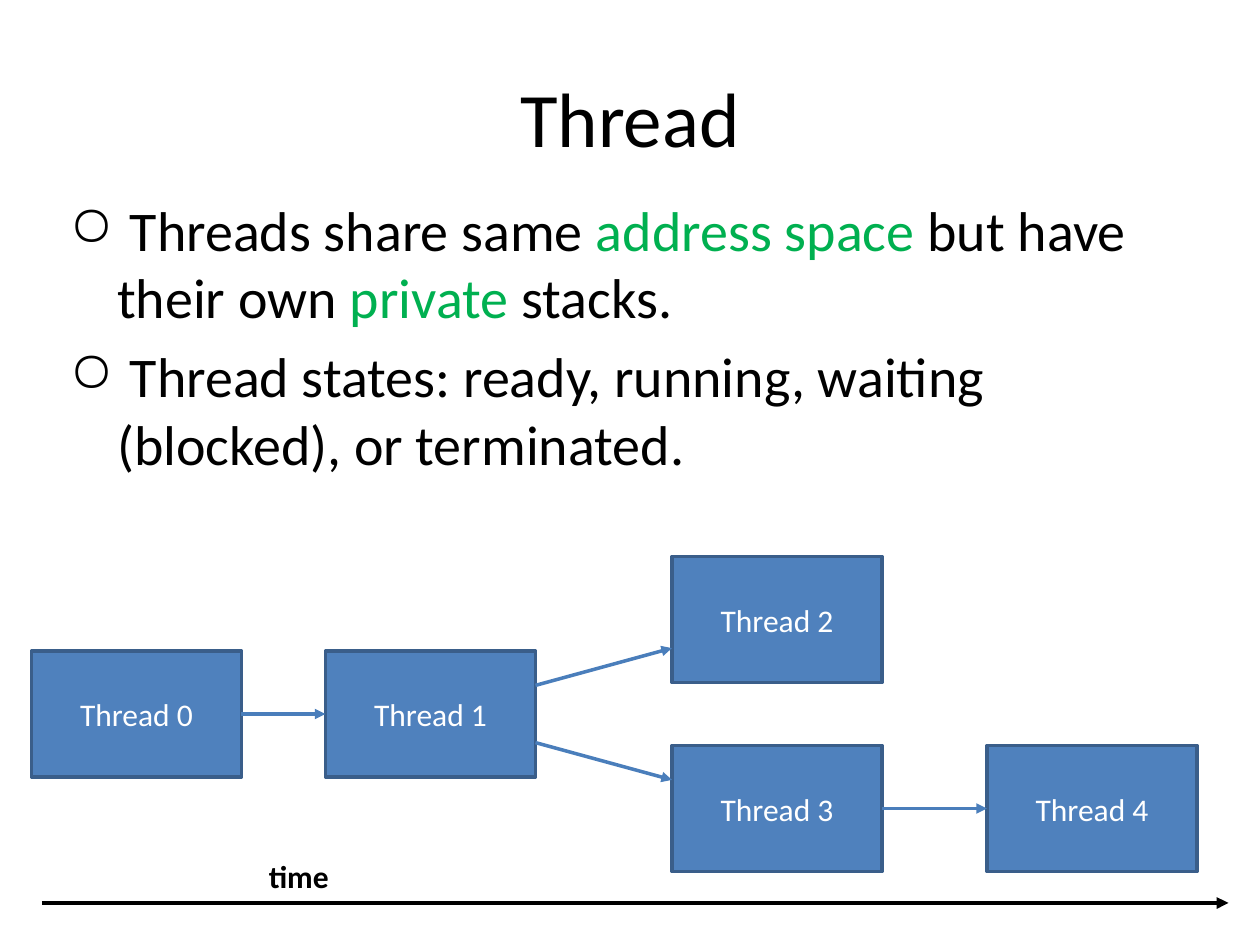
from lxml.etree import SubElement
from pptx import Presentation
from pptx.dml.color import RGBColor
from pptx.enum.shapes import MSO_CONNECTOR as CONN, MSO_SHAPE as SHAPE
from pptx.enum.text import MSO_ANCHOR as ANCHOR, PP_ALIGN as ALIGN
from pptx.oxml.ns import qn
from pptx.util import Inches, Pt

COLORS = {"ink": "000000", "accent": "00B050", "box": "4F81BD",
          "border": "3A5E8A", "link": "4A7EBB", "white": "FFFFFF"}
UNIT = Inches(1) / 12
BOX_W, BOX_H = 20, 12
NODES = {"Thread 0": (3, 62), "Thread 1": (31, 62), "Thread 2": (64, 53),
         "Thread 3": (64, 71), "Thread 4": (94, 71)}
LINKS = [("Thread 0", "Thread 1"), ("Thread 1", "Thread 2"),
         ("Thread 1", "Thread 3"), ("Thread 3", "Thread 4")]
BULLETS = [
    [(" Threads share same ", "ink"), ("address space ", "accent"),
     ("but have their own ", "ink"), ("private", "accent"), (" stacks.", "ink")],
    [(" Thread states: ready, running, waiting (blocked), or terminated.", "ink")],
]


def rgb(name):
    return RGBColor.from_string(COLORS[name])


def grid(*cells):
    return [round(c * UNIT) for c in cells]


class Deck:
    """Draws styled elements on a grid of 120 columns by 90 rows."""

    def __init__(self, font="Calibri"):
        self.font = font
        self.prs = Presentation()
        self.prs.slide_width, self.prs.slide_height = grid(120, 90)
        self.s = self.prs.slides.add_slide(self.prs.slide_layouts[6])

    def frame(self, sp, anchor):
        tf = sp.text_frame
        tf.word_wrap = True
        tf.vertical_anchor = anchor
        tf.margin_left = tf.margin_right = Inches(0.05)
        tf.margin_top = tf.margin_bottom = Inches(0.05)
        return tf

    def run(self, p, text, size, color, bold=False):
        r = p.add_run()
        r.text = text
        r.font.name, r.font.size, r.font.bold = self.font, Pt(size), bold
        r.font.color.rgb = rgb(color)

    def text(self, cells, text, size, align=ALIGN.LEFT, anchor=ANCHOR.TOP, bold=False):
        tf = self.frame(self.s.shapes.add_textbox(*grid(*cells)), anchor)
        p = tf.paragraphs[0]
        p.alignment = align
        self.run(p, text, size, "ink", bold)

    def bullets(self, cells, items, size):
        tf = self.frame(self.s.shapes.add_textbox(*grid(*cells)), ANCHOR.TOP)
        for i, runs in enumerate(items):
            p = tf.add_paragraph() if i else tf.paragraphs[0]
            pPr = p._p.get_or_add_pPr()
            pPr.set("marL", str(Inches(0.38)))
            pPr.set("indent", str(-Inches(0.38)))
            clr = SubElement(pPr, qn("a:buClr"))
            SubElement(clr, qn("a:srgbClr"), val=COLORS["ink"])
            SubElement(pPr, qn("a:buChar"), char="○")
            if i:
                p.space_before = Pt(7)
            for text, color in runs:
                self.run(p, text, size, color)

    def box(self, col, row, label):
        sp = self.s.shapes.add_shape(SHAPE.RECTANGLE, *grid(col, row, BOX_W, BOX_H))
        sp.shadow.inherit = False
        sp.fill.solid()
        sp.fill.fore_color.rgb = rgb("box")
        sp.line.color.rgb = rgb("border")
        sp.line.width = Pt(2)
        p = self.frame(sp, ANCHOR.MIDDLE).paragraphs[0]
        p.alignment = ALIGN.CENTER
        self.run(p, label, 18, "white")

    def arrow(self, x1, y1, x2, y2, color, width):
        cx = self.s.shapes.add_connector(CONN.STRAIGHT, *grid(x1, y1, x2, y2))
        cx.line.color.rgb = rgb(color)
        cx.line.width = Pt(width)
        SubElement(cx.line._get_or_add_ln(), qn("a:tailEnd"), type="triangle")
        SubElement(cx._element.spPr, qn("a:effectLst"))

    def link(self, start, end):
        (x1, y1), (x2, y2) = start, end
        mid = BOX_H / 2
        rise = (y2 - y1) / (x2 - x1) * BOX_W / 2
        self.arrow(x1 + BOX_W, y1 + mid + rise, x2, y2 + mid - rise, "link", 0)


def main():
    deck = Deck()
    deck.text((6, 3.6, 108, 15), "Thread", 44, ALIGN.CENTER, ANCHOR.MIDDLE)
    deck.bullets((6, 18, 108, 59.4), BULLETS, 32)
    for label, (col, row) in NODES.items():
        deck.box(col, row, label)
    for start, end in LINKS:
        deck.link(NODES[start], NODES[end])
    deck.arrow(4, 86, 117, 86, "ink", 2.25)
    deck.text((25, 81, 10, 4.8), "time", 18, bold=True)
    deck.prs.save("out.pptx")


if __name__ == "__main__":
    main()
